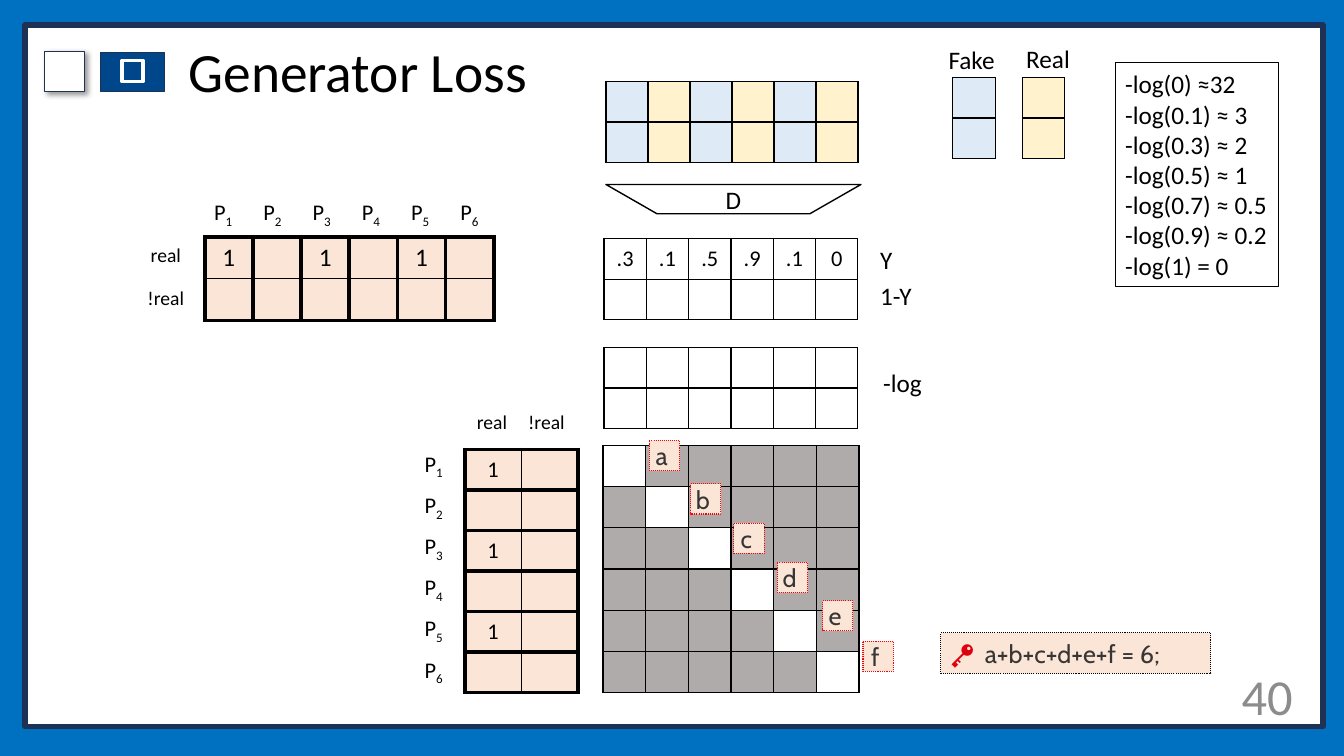
from lxml import etree
from pptx import Presentation
from pptx import util as u
from pptx.dml.color import RGBColor
from pptx.enum import dml, shapes, text
from pptx.oxml.ns import qn

BLACK, WHITE, NAVY = "000000", "FFFFFF", "1E3256"
BLUE, YELLOW, PEACH, GREY = "DEEBF7", "FFF2CC", "FBE5D6", "AFABAB"
NO_STYLE = "{2D5ABB26-0587-4C30-8999-92F81FD0307C}"
MARGINS = ("margin_left", "margin_right", "margin_top", "margin_bottom")
POINTS = ["P_%d" % n for n in range(1, 7)]
LOGS = ["-log(0) ≈32", "-log(0.1) ≈ 3", "-log(0.3) ≈ 2", "-log(0.5) ≈ 1",
        "-log(0.7) ≈ 0.5", "-log(0.9) ≈ 0.2", "-log(1) = 0"]
LABELS = [("a ", 6.44, 4.37), ("b ", 6.85, 4.8), ("c ", 7.28, 5.19),
          ("d ", 7.71, 5.58), ("e ", 8.16, 5.96), ("f ", 8.56, 6.36)]


def rgb(value):
    """Return the colour of a hex string."""
    return RGBColor.from_string(value)


def sub(parent, tag, **attrs):
    """Append a DrawingML element to a parent."""
    return etree.SubElement(parent, qn("a:" + tag), {k: str(v) for k, v in attrs.items()})


def box(at):
    """Turn left, top, width and height into lengths."""
    return [u.Inches(v) for v in at]


def assign(target, values):
    """Set the attributes named in a dict."""
    for name, value in values.items():
        setattr(target, name, value)


def add_run(p, content, size, color, font):
    """Add one formatted run and return it."""
    r = p.add_run()
    r.text = content
    assign(r.font, {"size": u.Pt(size), "name": font})
    r.font.color.rgb = rgb(color)
    return r


def write(tf, lines, size, color=BLACK, font="Calibri", align="LEFT"):
    """Write lines into a frame; an underscore starts a subscript."""
    for i, line in enumerate(lines):
        p = tf.paragraphs[0] if i == 0 else tf.add_paragraph()
        p.alignment = getattr(text.PP_ALIGN, align)
        base, _, index = line.partition("_")
        add_run(p, base, size, color, font)
        if index:
            r = add_run(p, index, size, color, font)
            r.font._element.set("baseline", "-25000")


def add_label(s, at, content, size=18, color=BLACK, align="LEFT", **frame):
    """Add a text box with one line."""
    tf = s.shapes.add_textbox(*box(at)).text_frame
    assign(tf, frame)
    write(tf, [content], size, color, align=align)


def add_box(s, at, fill=None, line=BLACK, width=0.75, dotted=False, kind="RECTANGLE"):
    """Add a preset shape with a plain fill and outline."""
    sp = s.shapes.add_shape(getattr(shapes.MSO_SHAPE, kind), *box(at))
    sp.shadow.inherit = False
    if fill:
        sp.fill.solid()
        sp.fill.fore_color.rgb = rgb(fill)
    else:
        sp.fill.background()
    sp.line.color.rgb = rgb(line)
    sp.line.width = u.Pt(width)
    if dotted:
        sp.line.dash_style = dml.MSO_LINE.ROUND_DOT
    return sp


def add_shadow(sp):
    """Give a shape a soft shadow to the lower right."""
    effects = sp._element.spPr.find(qn("a:effectLst"))
    outer = sub(effects, "outerShdw", blurRad=u.Pt(4), dist=u.Pt(3), dir=45 * 60000)
    sub(sub(outer, "srgbClr", val=BLACK), "alpha", val=40000)


def set_borders(cell, widths):
    """Set the left, right, top and bottom borders; zero hides one."""
    tcPr = cell._tc.get_or_add_tcPr()
    for i, (side, width) in enumerate(zip("LRTB", widths)):
        ln = sub(tcPr, "ln" + side, w=u.Pt(width))
        if width:
            sub(sub(ln, "solidFill"), "srgbClr", val=BLACK)
        else:
            sub(ln, "noFill")
        tcPr.insert(i, ln)


def add_grid(s, at, rows, cols, words=None, fill=None, size=16, edge=1, upright=1, level=1):
    """Add an even table; words maps cells to text, fill gives a cell's colour."""
    frame = s.shapes.add_table(rows, cols, *box(at))
    table = frame.table
    assign(table, {"first_row": False, "horz_banding": False})
    table._tbl.tblPr.find(qn("a:tableStyleId")).text = NO_STYLE
    for col in table.columns:
        col.width = u.Inches(at[2] / cols)
    for row in table.rows:
        row.height = u.Inches(at[3] / rows)
    for i in range(rows):
        for j in range(cols):
            cell = table.cell(i, j)
            assign(cell, dict.fromkeys(MARGINS, u.Inches(0.04)))
            cell.vertical_anchor = text.MSO_ANCHOR.MIDDLE
            color = fill(i, j) if fill else None
            if color:
                cell.fill.solid()
                cell.fill.fore_color.rgb = rgb(color)
            else:
                cell.fill.background()
            set_borders(cell, (upright if j else edge, upright if j < cols - 1 else edge,
                               level if i else edge, level if i < rows - 1 else edge))
            if words and (i, j) in words:
                write(cell.text_frame, [words[i, j]], size, align="CENTER")


def add_names(s, at, names, down=False, size=16):
    """Add a borderless row or column of names."""
    words = {(i, 0) if down else (0, i): name for i, name in enumerate(names)}
    rows, cols = (len(names), 1) if down else (1, len(names))
    add_grid(s, at, rows, cols, words, size=size, edge=0, upright=0, level=0)


def add_frame(s):
    """Add the framed page, its ornaments, the title and the page number."""
    s.background.fill.solid()
    s.background.fill.fore_color.rgb = rgb("0070C0")
    add_box(s, (0.25, 0.25, 12.87, 6.96), WHITE, NAVY, 4)
    add_box(s, (1, 0.52, 0.63, 0.39), "00468B", NAVY, 1)
    add_box(s, (1.21, 0.6, 0.21, 0.21), "00468B", WHITE, 2.5)
    add_shadow(add_box(s, (0.44, 0.51, 0.4, 0.4), WHITE, NAVY, 1))
    title = s.shapes.title
    s.shapes._spTree.append(title._element)
    assign(title, dict(zip(("left", "top", "width", "height"), box((1.77, 0.4, 10.65, 0.68)))))
    tf = title.text_frame
    assign(tf, {"auto_size": text.MSO_AUTO_SIZE.NONE, "vertical_anchor": text.MSO_ANCHOR.MIDDLE})
    write(tf, ["Generator Loss"], 39.6)
    tf.paragraphs[0].line_spacing = 0.9
    add_label(s, (11.67, 6.47, 1.25, 0.86), "40", 36, "8C8C8C", "RIGHT",
              word_wrap=True, vertical_anchor=text.MSO_ANCHOR.MIDDLE)


def add_answer(s):
    """Add the dotted answer box with its key."""
    sp = add_box(s, (9.33, 6.28, 2.68, 0.4), PEACH, dotted=True)
    p = sp.text_frame.paragraphs[0]
    p.alignment = text.PP_ALIGN.LEFT
    sub(sub(p._p.get_or_add_pPr(), "tabLst"), "tab", pos=u.Inches(0.34), algn="l")
    add_run(p, "🔑\t", 18, "DF000F", "Cabin")
    add_run(p, "a+b+c+d+e+f = 6;", 18, "373637", "Cabin")


def main():
    """Build the slide and save it."""
    prs = Presentation()
    assign(prs, {"slide_width": u.Inches(13.33), "slide_height": u.Inches(7.5)})
    s = prs.slides.add_slide(prs.slide_layouts[5])
    add_frame(s)

    add_grid(s, (6.01, 0.81, 2.5, 0.8), 2, 6, fill=lambda i, j: YELLOW if j % 2 else BLUE)
    outputs = {(0, j): y for j, y in enumerate([".3", ".1", ".5", ".9", ".1", "0"])}
    add_grid(s, (5.99, 2.37, 2.52, 0.8), 2, 6, outputs)
    add_grid(s, (2.03, 2.35, 2.87, 0.83), 2, 6, {(0, j): "1" for j in (0, 2, 4)},
             lambda i, j: PEACH, 18, edge=3, upright=3)
    add_names(s, (1.97, 1.93, 2.93, 0.4), POINTS)
    add_grid(s, (4.61, 4.46, 1.12, 2.41), 6, 2, {(i, 0): "1" for i in (0, 2, 4)},
             lambda i, j: PEACH, edge=3, level=3)
    add_names(s, (4.08, 4.42, 0.44, 2.45), POINTS, down=True)
    for left, color in ((9.45, BLUE), (10.14, YELLOW)):
        add_grid(s, (left, 0.77, 0.42, 0.8), 2, 1, fill=lambda i, j: color)
    add_grid(s, (5.99, 3.45, 2.52, 0.8), 2, 6)
    add_names(s, (1.26, 2.33, 0.77, 0.84), ["real", "!real"], down=True, size=14)
    add_names(s, (4.61, 4.02, 1.08, 0.35), ["real", "!real"], size=14)
    add_grid(s, (5.98, 4.42, 2.54, 2.45), 6, 6, fill=lambda i, j: None if i == j else GREY)

    sp = add_box(s, (6.01, 1.83, 2.53, 0.29), WHITE, width=1, kind="FLOWCHART_MANUAL_OPERATION")
    write(sp.text_frame, ["D"], 18, align="CENTER")
    for content, *at in (("Fake", 9.31, 0.39, 0.66, 0.4), ("Real", 10.08, 0.38, 0.64, 0.4),
                         ("Y", 8.63, 2.37, 0.32, 0.4), ("1-Y", 8.63, 2.73, 0.52, 0.4),
                         ("-log", 8.66, 3.59, 0.59, 0.4)):
        add_label(s, at, content, word_wrap=False)
    tf = add_box(s, (11.06, 0.62, 1.62, 2.22)).text_frame
    tf.word_wrap = False
    write(tf, LOGS, 18)
    for letter, left, top in LABELS:
        tf = add_box(s, (left, top, 0.3, 0.3), PEACH, "FF0000", dotted=True).text_frame
        assign(tf, dict.fromkeys(MARGINS, 0))
        write(tf, [letter], 18, "373637", "Cabin", "CENTER")
    add_answer(s)
    prs.save("out.pptx")


if __name__ == "__main__":
    main()
